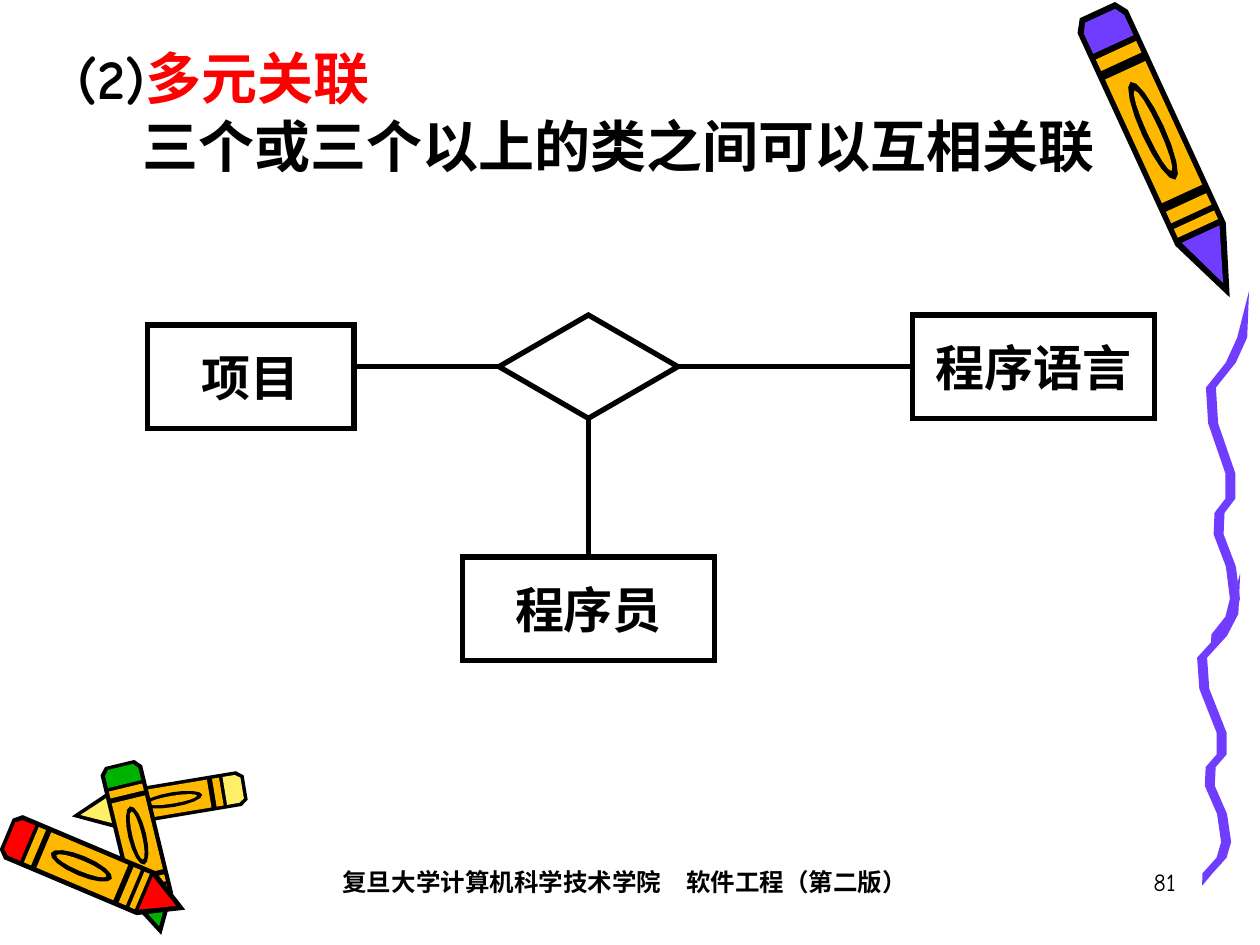
from math import cos, hypot, pi, sin

from lxml.etree import SubElement
from pptx import Presentation
from pptx.dml.color import RGBColor
from pptx.enum.shapes import MSO_CONNECTOR, MSO_SHAPE
from pptx.enum.text import MSO_ANCHOR, PP_ALIGN
from pptx.oxml.ns import qn
from pptx.util import Inches, Pt

BLACK, RED, PURPLE, ORANGE = "000000", "FF0000", "703DFF", "FFB800"
YELLOW, GREEN = "FFEF66", "00B200"
TOP, LEFT, BOTTOM, RIGHT = range(4)


def color(value):
    return RGBColor.from_string(value)


def write(paragraph, text, size=14, font="Comic Neue", fill=BLACK, bold=True, align=None):
    run = paragraph.add_run()
    run.text = text
    run.font.size, run.font.name, run.font.bold = Pt(size), font, bold
    run.font.color.rgb = color(fill)
    if align is not None:
        paragraph.alignment = align


presentation = Presentation()
presentation.slide_width, presentation.slide_height = Inches(10), Inches(7.5)
slide = presentation.slides.add_slide(presentation.slide_layouts[6])
shapes = slide.shapes

# Every decoration becomes a (fill, points in inches) pair
outlines = []

# Ribbon: centre line as fractions (across, down) of its frame; two frames share it
ribbon_center = [(0.98, 0), (0.83, 0.13), (0.58, 0.2), (0.14, 0.27), (0.19, 0.37),
                 (0.57, 0.51), (0.57, 0.58), (0.33, 0.62), (0.31, 0.68), (0.58, 0.77),
                 (0.67, 0.86), (0.57, 0.91), (0.26, 0.96), (0.14, 1)]
half_ribbon = 0.11
inner_points = ribbon_center[1:-1]
ribbon = ([ribbon_center[0]] + [(x + half_ribbon, y) for x, y in inner_points]
          + [ribbon_center[-1]] + [(x - half_ribbon, y) for x, y in reversed(inner_points)])
for left, top, width, height in [(9.49, 4.55, 0.36, 2.48), (9.56, 2.31, 0.36, 2.84)]:
    outlines.append((PURPLE, [(left + x * width, top + y * height) for x, y in ribbon]))

# Crayon: points are (along, across); along runs 0 to 1 from butt to tip,
# across runs -1 to 1 from edge to edge. The tone fills the cap and the tip.
TONE = None
crayon_parts = [
    (BLACK, [(0, -0.7), (0.04, -1), (0.78, -1), (1, 0), (0.78, 1), (0.04, 1), (0, 0.7)]),
    (TONE, [(0.02, -0.6), (0.05, -0.8), (0.12, -0.8), (0.12, 0.8), (0.05, 0.8), (0.02, 0.6)]),
    (TONE, [(0.78, -0.75), (0.95, 0), (0.78, 0.75)]),
]
for start, end in [(0.14, 0.18), (0.21, 0.64), (0.67, 0.71), (0.73, 0.76)]:
    crayon_parts.append((ORANGE, [(start, -0.8), (end, -0.8), (end, 0.8), (start, 0.8)]))
for fill, along_radius, across_radius in [(BLACK, 0.17, 0.42), (ORANGE, 0.14, 0.22)]:
    angles = [step * pi / 8 for step in range(16)]
    crayon_parts.append((fill, [(0.42 + along_radius * cos(angle), across_radius * sin(angle))
                                for angle in angles]))

for tone, (butt_x, butt_y), (tip_x, tip_y), half_width in [
        (PURPLE, (8.71, 0.08), (9.76, 2.36), 0.22),
        (YELLOW, (1.95, 6.25), (0.57, 6.48), 0.14),
        (GREEN, (0.95, 6.06), (1.28, 7.42), 0.17),
        (RED, (0.05, 6.62), (1.47, 7.22), 0.19)]:
    run_x, run_y = tip_x - butt_x, tip_y - butt_y
    half = half_width / hypot(run_x, run_y)
    for fill, part in crayon_parts:
        outlines.append((fill or tone, [(butt_x + along * run_x - across * half * run_y,
                                         butt_y + along * run_y + across * half * run_x)
                                        for along, across in part]))

for fill, points in outlines:
    start, *rest = [(Inches(x), Inches(y)) for x, y in points]
    builder = shapes.build_freeform(*start)
    builder.add_line_segments(rest, close=True)
    decoration = builder.convert_to_shape()
    decoration.shadow.inherit = False
    decoration.fill.solid()
    decoration.fill.fore_color.rgb = color(fill)
    decoration.line.fill.background()

# Heading
heading = shapes.add_textbox(Inches(0.52), Inches(0.4), Inches(9.17), Inches(1.17)).text_frame
heading.word_wrap = True
term, definition = heading.paragraphs[0], heading.add_paragraph()
write(term, "(2)", size=32)
write(term, "多元关联", size=32, fill=RED)
write(definition, "三个或三个以上的类之间可以互相关联", size=32)
for paragraph in (term, definition):
    paragraph.line_spacing = 0.8
definition.space_before = Pt(8)
definition._p.get_or_add_pPr().set("marL", str(Inches(0.51)))

# Association diagram
node_height = Inches(0.82)
diamond = shapes.add_shape(MSO_SHAPE.FLOWCHART_DECISION,
                           Inches(3.96), Inches(2.5), Inches(1.42), node_height)
classes = {}
for name, left, top, width in [("项目", 1.17, 2.58, 1.64), ("程序语言", 7.24, 2.5, 1.92),
                               ("程序员", 3.67, 4.42, 2)]:
    box = shapes.add_shape(MSO_SHAPE.RECTANGLE,
                           Inches(left), Inches(top), Inches(width), node_height)
    box.text_frame.vertical_anchor = MSO_ANCHOR.MIDDLE
    write(box.text_frame.paragraphs[0], name, size=28, font="Times New Roman",
          align=PP_ALIGN.CENTER)
    classes[name] = box

project_line, language_line, programmer_line = lines = [
    shapes.add_connector(MSO_CONNECTOR.STRAIGHT, *map(Inches, ends))
    for ends in [(3.96, 2.91, 2.83, 2.91), (5.38, 2.91, 7.24, 2.91), (4.67, 4.42, 4.67, 3.32)]]
project_line.begin_connect(diamond, LEFT)
language_line.begin_connect(diamond, RIGHT)
language_line.end_connect(classes["程序语言"], LEFT)
programmer_line.begin_connect(classes["程序员"], TOP)
programmer_line.end_connect(diamond, BOTTOM)

nodes = [diamond, *classes.values()]
for shape in nodes + lines:
    shape.line.color.rgb = color(BLACK)
    shape.line.width = Pt(3)
for node in nodes:
    node.shadow.inherit = False
    node.fill.background()
    SubElement(node._element.spPr.find(qn("a:ln")), qn("a:miter"), lim="800000")
for connector in lines:
    SubElement(connector._element.spPr, qn("a:effectLst"))

# Footer and page number
for text, left, width, bold, align in [
        ("复旦大学计算机科学技术学院　软件工程（第二版）", 2, 5.92, True, PP_ALIGN.CENTER),
        ("81", 7.35, 2.08, False, PP_ALIGN.RIGHT)]:
    frame = shapes.add_textbox(Inches(left), Inches(6.83), Inches(width), Inches(0.5)).text_frame
    frame.word_wrap = True
    write(frame.paragraphs[0], text, bold=bold, align=align)

presentation.save("out.pptx")
